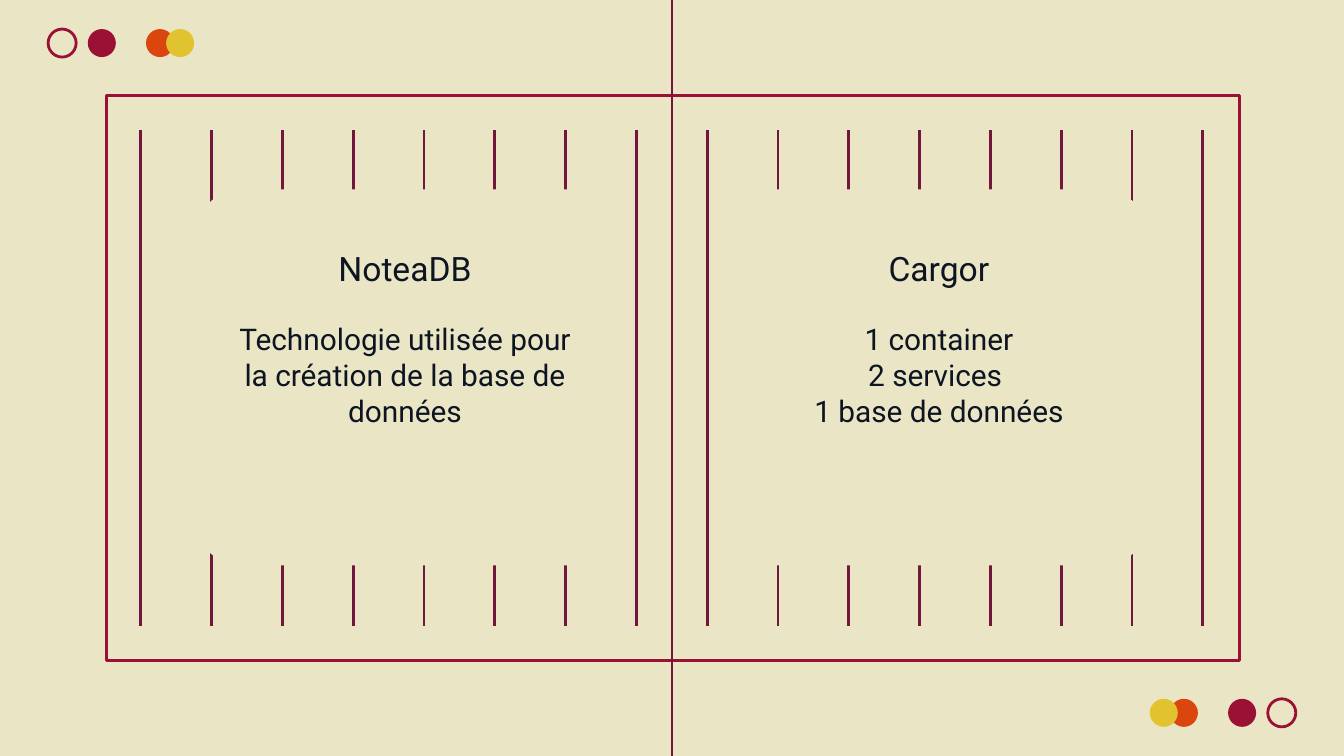
"""Build a two-panel slide comparing the database and its container setup."""
from pptx import Presentation
from pptx import util as u
from pptx.dml import color
from pptx.enum import shapes, text
from pptx.oxml import ns
from lxml import etree

COLORS = {
    "cream": "EAE5C4",
    "crimson": "9B1135",
    "plum": "71173D",
    "orange": "DB450E",
    "yellow": "E0C32E",
    "ink": "0C1521",
}
SLIDE_W, SLIDE_H = 25.4, 14.29
DOT = 0.53
DOT_TOP = 0.55
DOTS = [(1.66, "crimson", True), (2.76, "orange", True),
        (0.91, "crimson", False), (3.14, "yellow", True)]
PANEL_W = 7.95
PANELS = [
    (3.68, "NoteaDB", ["Technologie utilisée pour la création de la base de données"]),
    (13.77, "Cargor", ["1 container", "2 services ", "1 base de données"]),
]


def rgb(name):
    return color.RGBColor.from_string(COLORS[name])


def add_figure(slide, kind, left, top, width, height, fill=None, line=None):
    figure = slide.shapes.add_shape(kind, u.Cm(left), u.Cm(top), u.Cm(width), u.Cm(height))
    figure.shadow.inherit = False
    if fill:
        figure.fill.solid()
        figure.fill.fore_color.rgb = rgb(fill)
    else:
        figure.fill.background()
    if line:
        figure.line.color.rgb = rgb(line)
        figure.line.width = u.Pt(1.5)
    else:
        figure.line.fill.background()
    return figure


def add_stripe(slide, x, top, bottom):
    stripe = slide.shapes.add_connector(
        shapes.MSO_CONNECTOR.STRAIGHT, u.Cm(x), u.Cm(top), u.Cm(x), u.Cm(bottom))
    stripe.line.color.rgb = rgb("plum")
    stripe.line.width = u.Pt(1.5)
    etree.SubElement(stripe._element.spPr, ns.qn("a:effectLst"))


def add_text(slide, lines, left, top, width, height, size=16,
             anchor=text.MSO_ANCHOR.TOP, spacing=None):
    box = slide.shapes.add_textbox(u.Cm(left), u.Cm(top), u.Cm(width), u.Cm(height))
    frame = box.text_frame
    frame.word_wrap = True
    frame.vertical_anchor = anchor
    frame.margin_left = frame.margin_right = u.Cm(0.25)
    frame.margin_top = frame.margin_bottom = u.Cm(0.25)
    frame.text = "\n".join(lines)
    for paragraph in frame.paragraphs:
        paragraph.alignment = text.PP_ALIGN.CENTER
        paragraph.line_spacing = spacing
        for run in paragraph.runs:
            run.font.name = "Roboto"
            run.font.size = u.Pt(size)
            run.font.color.rgb = rgb("ink")


def add_dots(slide, mirrored):
    for x, tint, filled in DOTS:
        left = SLIDE_W - x - DOT if mirrored else x
        top = SLIDE_H - DOT_TOP - DOT if mirrored else DOT_TOP
        add_figure(slide, shapes.MSO_SHAPE.OVAL, left, top, DOT, DOT,
                   fill=tint if filled else None, line=None if filled else tint)


def add_panel(slide, left, title, lines):
    panel = add_figure(slide, shapes.MSO_SHAPE.ROUNDED_RECTANGLE,
                       left, 3.58, PANEL_W, 7.11, fill="cream")
    panel.adjustments[0] = 0.127
    text_left, text_width = left + 0.41, PANEL_W - 0.82
    add_text(slide, lines, text_left, 5.82, text_width, 3.99)
    add_text(slide, [title], text_left, 4.48, text_width, 1.22, size=18,
             anchor=text.MSO_ANCHOR.BOTTOM, spacing=1.15)


def main():
    deck = Presentation()
    deck.slide_width, deck.slide_height = u.Cm(SLIDE_W), u.Cm(SLIDE_H)
    slide = deck.slides.add_slide(deck.slide_layouts[6])
    slide.background.fill.solid()
    slide.background.fill.fore_color.rgb = rgb("cream")

    add_figure(slide, shapes.MSO_SHAPE.RECTANGLE, 2.01, 1.8, 21.42, 10.69, line="crimson")
    stripe_count, first_x, last_x = 16, 2.66, 22.73
    for i in range(stripe_count):
        x = first_x + i * (last_x - first_x) / (stripe_count - 1)
        add_stripe(slide, x, 2.46, 11.84)
    add_stripe(slide, SLIDE_W / 2, 0, SLIDE_H)
    for mirrored in (False, True):
        add_dots(slide, mirrored)
    for left, title, lines in PANELS:
        add_panel(slide, left, title, lines)

    deck.save("out.pptx")


if __name__ == "__main__":
    main()
